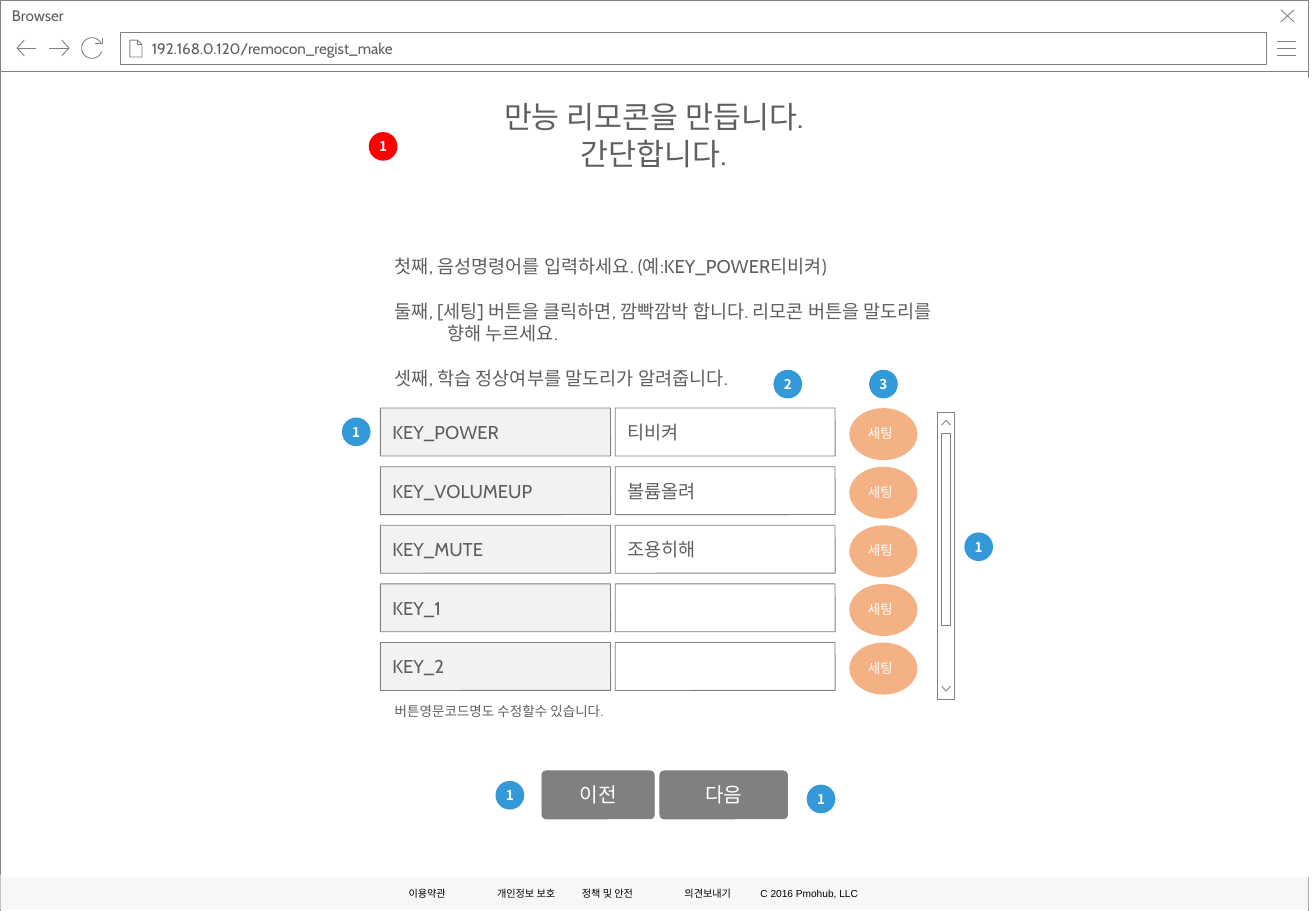
from math import cos, radians, sin

from lxml import etree
from pptx import Presentation
from pptx.dml.color import RGBColor
from pptx.enum.shapes import MSO_SHAPE
from pptx.enum.text import MSO_ANCHOR, PP_ALIGN
from pptx.oxml.ns import qn
from pptx.util import Pt

RECT, ROUND, OVAL = MSO_SHAPE.RECTANGLE, MSO_SHAPE.ROUNDED_RECTANGLE, MSO_SHAPE.OVAL
TOP, MIDDLE = MSO_ANCHOR.TOP, MSO_ANCHOR.MIDDLE
LEFT, CENTER = PP_ALIGN.LEFT, PP_ALIGN.CENTER
COLORS = {"white": "FFFFFF", "gray": "808080", "text": "5F5F5F", "pale": "F2F2F2",
          "black": "000000", "orange": "F4B183", "red": "FF0000", "blue": "3399D9"}
FONT, FOOTER_FONT, BADGE_FONT = "Cabin", "Arial", "Noto Sans CJK KR"
INSETS = (7.2, 3.6, 7.2, 3.6)

BROWSER = "Browser"
ADDRESS = "192.168.0.120/remocon_regist_make"
TITLE = ["만능 리모콘을 만듭니다.", "간단합니다."]
STEPS = [
    ("첫째, 음성명령어를 입력하세요. (예:KEY_POWER티비켜)", 0, 0),
    ("둘째, [세팅] 버튼을 클릭하면, 깜빡깜박 합니다. 리모콘 버튼을 말도리를", 13.3, 0),
    ("향해 누르세요.", 0, 31),
    ("셋째, 학습 정상여부를 말도리가 알려줍니다.", 13.3, 0),
]
COMMANDS = [("KEY_POWER", "티비켜"), ("KEY_VOLUMEUP", "볼륨올려"),
            ("KEY_MUTE", "조용히해"), ("KEY_1", ""), ("KEY_2", "")]
SETTING = "세팅"
HINT = "버튼영문코드명도 수정할수 있습니다."
BUTTONS = [("이전", 321.1, 66.6), ("다음", 391, 75.6)]
FOOTER = [("이용약관", 229.7, 46.8, CENTER), ("개인정보 보호", 284.4, 54.7, CENTER),
          ("정책 및 안전", 332.6, 54.7, CENTER), ("의견보내기", 388.1, 62.6, CENTER),
          ("C 2016 Pmohub, LLC", 443.5, 90, LEFT)]
BADGES = [("1", 218.5, 78.3, "red"), ("1", 202.6, 247.5, "blue"), ("2", 458.3, 219.2, "blue"),
          ("3", 515, 219.2, "blue"), ("1", 571.4, 315.6, "blue"),
          ("1", 293.6, 462.9, "blue"), ("1", 478, 465.1, "blue")]

reload_arc = [(54.5 + 6.1 * cos(radians(a)), 28.5 + 6.1 * sin(radians(a)))
              for a in range(20, 331, 10)]
ICONS = [
    [[(756.7, y), (768.2, y)] for y in (33.1, 28.8, 24.5)],
    [[(766.8, 5.8), (758.9, 13)], [(758.9, 5.8), (766.8, 13)]],
    [[(81.4, 23.8), (81.4, 26.6), (84.2, 26.6)],
     [(77, 23.8), (77, 33.8), (84.2, 33.8), (84.2, 26.3), (81.4, 23.8), (77, 23.8)]],
    [[(14.4, 33.1), (10.1, 28.5), (14.4, 23.8)], [(10.1, 28.5), (21.6, 28.5)]],
    [[(36.7, 23.8), (41, 28.5), (36.7, 33.1)], [(41, 28.5), (28.8, 28.5)]],
    [[(60.5, 22.3), (60.5, 25.9), (56.2, 25.9)], reload_arc],
]
SCROLL_ARROWS = [
    [[(558, 252), (560.6, 249.1), (563.2, 252)]],
    [[(558, 406.8), (560.6, 409.7), (563.2, 406.8)]],
]
ROW_TOP, ROW_PITCH, ROW_HEIGHT = 241.9, 34.75, 28.4

prs = Presentation()
prs.slide_width, prs.slide_height = Pt(779.76), Pt(540)
slide = prs.slides.add_slide(prs.slide_layouts[6])
shapes = slide.shapes


def rgb(name):
    return RGBColor.from_string(COLORS[name])


def write(shape, lines, size, color="text", font=FONT, align=LEFT, anchor=MIDDLE,
          insets=INSETS, bold=False, spacing=None):
    frame = shape.text_frame
    frame.word_wrap = True
    frame.vertical_anchor = anchor
    (frame.margin_left, frame.margin_top,
     frame.margin_right, frame.margin_bottom) = map(Pt, insets)
    frame.text = "\n".join(lines)
    for paragraph in frame.paragraphs:
        paragraph.alignment = align
        if spacing:
            paragraph.line_spacing = spacing
        paragraph.font.size = Pt(size)
        paragraph.font.name = font
        paragraph.font.bold = bold
        paragraph.font.color.rgb = rgb(color)
    return frame


def label(lines, left, top, width, height, size, **style):
    box = shapes.add_textbox(Pt(left), Pt(top), Pt(width), Pt(height))
    return write(box, lines, size, anchor=TOP, **style)


def block(kind, left, top, width, height, fill="white", line="gray", corner=None):
    shape = shapes.add_shape(kind, Pt(left), Pt(top), Pt(width), Pt(height))
    shape.shadow.inherit = False
    shape.fill.solid()
    shape.fill.fore_color.rgb = rgb(fill)
    if line:
        shape.line.color.rgb = rgb(line)
        shape.line.width = Pt(0.5)
    else:
        shape.line.fill.background()
    if corner is not None:
        shape.adjustments[0] = corner
    return shape


def outline(strokes):
    scaled = [[(round(x * 100), round(y * 100)) for x, y in stroke] for stroke in strokes]
    builder = shapes.build_freeform(*scaled[0][0], scale=Pt(1) / 100)
    for number, stroke in enumerate(scaled):
        if number:
            builder.move_to(*stroke[0])
        builder.add_line_segments(stroke[1:], close=False)
    shape = builder.convert_to_shape()
    shape.shadow.inherit = False
    shape.fill.background()
    shape.line.color.rgb = rgb("gray")
    shape.line.width = Pt(0.5)


block(RECT, 0, 42.5, 775.4, 497.5)
header = block(RECT, 0, 0, 775.4, 42.5)
write(header, [BROWSER], 9, anchor=TOP)
address_bar = block(RECT, 71.3, 19.4, 679, 18.7)
write(address_bar, [ADDRESS], 9, insets=(18.7, 3.6, 7.2, 3.6))
for icon in ICONS:
    outline(icon)

footer_bar = block(RECT, 0, 518.4, 775.4, 20.9, "pale", None)
footer_color = footer_bar.fill._xPr.find(qn("a:solidFill"))[0]
etree.SubElement(footer_color, qn("a:alpha"), val="60000")
for text, left, width, align in FOOTER:
    label([text], left, 519.1, width, 18, 6, color="black", font=FOOTER_FONT,
          align=align, spacing=1.5)

block(RECT, 2.9, 46.1, 775.4, 473.8, line=None)
label(TITLE, 192.2, 54.7, 390.2, 51.1, 18, align=CENTER)

steps = label([text for text, _, _ in STEPS], 226.8, 147.6, 390.2, 87.1, 11)
for paragraph, (_, before, indent) in zip(steps.paragraphs, STEPS):
    if before:
        paragraph.space_before = Pt(before)
    if indent:
        paragraph._p.get_or_add_pPr().set("marL", str(Pt(indent)))

for row, (key, command) in enumerate(COMMANDS):
    top = ROW_TOP + row * ROW_PITCH
    key_field = block(ROUND, 225.4, top, 136.4, ROW_HEIGHT, "pale", corner=0.004)
    write(key_field, [key], 11)
    command_field = block(ROUND, 364.5, top, 130.3, ROW_HEIGHT, corner=0.004)
    if command:
        write(command_field, [command], 11)
    setting = block(OVAL, 503.3, top, 40.3, 30.8, "orange", None)
    write(setting, [SETTING], 8, "white", align=CENTER, insets=(0, 0, 3.5, 1))

block(RECT, 555.5, 244.6, 10.3, 169.9)
block(RECT, 558, 257.2, 5.2, 113.4)
for arrow in SCROLL_ARROWS:
    outline(arrow)

label([HINT], 226.8, 413.3, 390.2, 17.3, 8)
for text, left, width in BUTTONS:
    button = block(ROUND, left, 457, width, 28.4, "gray", corner=0.088)
    write(button, [text], 12, "white", align=CENTER)
for number, left, top, color in BADGES:
    badge = block(OVAL, left, top, 17, 17, color, None)
    write(badge, [number], 8, "white", BADGE_FONT, CENTER, insets=(0, 0, 0, 0), bold=True)

prs.save("out.pptx")
